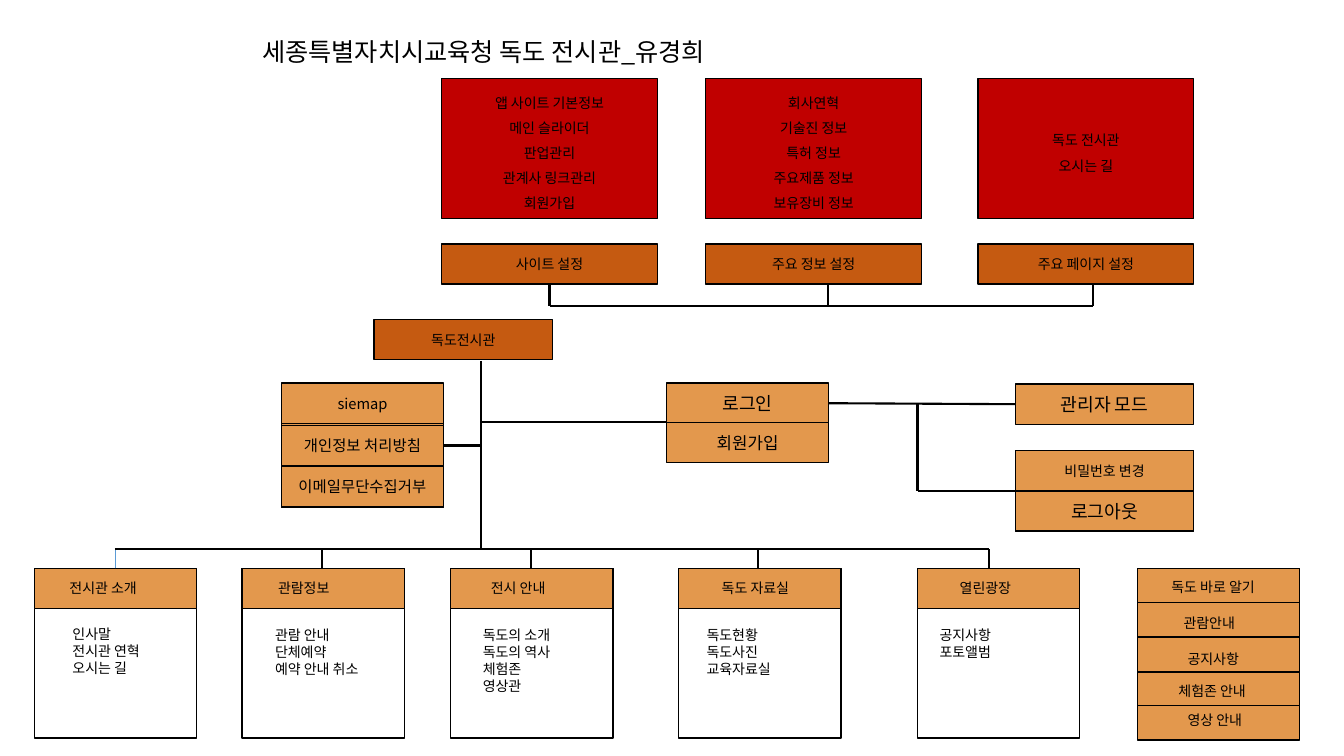
import pptx
import pptx.util
import pptx.dml.color
import pptx.enum.shapes
import pptx.enum.text
import pptx.oxml.ns
import lxml.etree

PX = 9144  # EMU, a hundredth of an inch
FONT = "Noto Sans CJK KR"
COLORS = {"black": "000000", "red": "C00000", "rust": "C55A11",
          "sand": "E3984D", "blue": "5B9BD5"}
ALIGN = pptx.enum.text.PP_ALIGN
ANCHOR = pptx.enum.text.MSO_ANCHOR
RGB = pptx.dml.color.RGBColor.from_string
qn = pptx.oxml.ns.qn


def write(shape, lines, size=10, align=ALIGN.CENTER, space=None):
    frame = shape.text_frame
    frame.text = "\n".join(lines)
    for para in frame.paragraphs:
        para.alignment = align
        para.line_spacing = space
        para.font.size = pptx.util.Pt(size)
        para.font.color.rgb = RGB(COLORS["black"])
        para.font.name = FONT
        props = para._p.pPr.find(qn("a:defRPr"))
        lxml.etree.SubElement(props, qn("a:ea"), typeface=FONT)
    if align == ALIGN.LEFT:
        frame.vertical_anchor = ANCHOR.TOP
        frame.word_wrap = False
        frame.auto_size = pptx.enum.text.MSO_AUTO_SIZE.SHAPE_TO_FIT_TEXT
    else:
        frame.vertical_anchor = ANCHOR.MIDDLE


def box(left, top, width, height, fill=None, lines=(), size=10, space=None):
    shape = slide.shapes.add_shape(
        pptx.enum.shapes.MSO_SHAPE.RECTANGLE,
        left * PX, top * PX, width * PX, height * PX)
    shape.shadow.inherit = False
    if fill:
        shape.fill.solid()
        shape.fill.fore_color.rgb = RGB(COLORS[fill])
    else:
        shape.fill.background()
    shape.line.color.rgb = RGB(COLORS["black"])
    shape.line.width = pptx.util.Pt(1)
    if lines:
        write(shape, lines, size, space=space)


deck = pptx.Presentation()
deck.slide_width = 1333 * PX
deck.slide_height = 750 * PX
slide = deck.slides.add_slide(deck.slide_layouts[5])

title = slide.shapes.title
title.left, title.top = 250 * PX, 31 * PX
title.width, title.height = 503 * PX, 40 * PX
write(title, ["세종특별자치시교육청 독도 전시관_유경희"], 18, ALIGN.LEFT)

# Admin settings
admin = [
    (438, "사이트 설정", ["앱 사이트 기본정보", "메인 슬라이더", "판업관리",
                     "관계사 링크관리", "회원가입"]),
    (700, "주요 정보 설정", ["회사연혁", "기술진 정보", "특허 정보",
                       "주요제품 정보", "보유장비 정보"]),
    (970, "주요 페이지 설정", ["독도 전시관", "오시는 길"]),
]
for left, name, items in admin:
    box(left, 78, 214, 139, "red", items, space=1.5)
    box(left, 242, 214, 40, "rust", [name])

# Home page and side pages
box(371, 317, 177, 40, "rust", ["독도전시관"])
box(279, 381, 161, 122, "sand")
box(1007, 447, 177, 80, "sand")
pages = [
    (279, 380, 161, "siemap", 10.5),
    (279, 422, 161, "개인정보 처리방침", 11),
    (279, 463, 161, "이메일무단수집거부", 11),
    (661, 380, 161, "로그인", 13),
    (661, 419, 161, "회원가입", 12),
    (1007, 381, 177, "관리자 모드", 13),
    (1007, 447, 177, "비밀번호 변경", 10),
    (1007, 487, 177, "로그아웃", 13),
]
for left, top, width, name, size in pages:
    box(left, top, width, 40, "sand", [name], size)

# Main menus: box left, name left and width, items left, top, width, height
menus = [
    (34, "전시관 소개", 59, 95, (62, 616, 95, 61),
     ["인사말", "전시관 연혁", "오시는 길"]),
    (240, "관람정보", 266, 76, (263, 617, 114, 61),
     ["관람 안내", "단체예약", "예약 안내 취소"]),
    (447, "전시 안내", 477, 81, (469, 617, 95, 77),
     ["독도의 소개", "독도의 역사", "체험존", "영상관"]),
    (673, "독도 자료실", 706, 95, (691, 617, 90, 61),
     ["독도현황", "독도사진", "교육자료실"]),
    (910, "열린광장", 942, 76, (922, 617, 76, 44),
     ["공지사항", "포토앨범"]),
]
labels = []
for left, name, start, width, area, items in menus:
    box(left, 564, 161, 168)
    box(left, 564, 161, 40, "sand")
    labels += [((start, 570, width, 27), [name]), (area, items)]

# Quick links
box(1128, 564, 161, 168)
links = [
    (564, "독도 바로 알기", 1152, 569, 114),
    (598, "관람안내", 1164, 605, 76),
    (632, "공지사항", 1168, 640, 76),
    (667, "체험존 안내", 1159, 672, 100),
    (700, "영상 안내", 1168, 701, 81),
]
for top, name, start, level, width in links:
    box(1128, top, 161, 34, "sand")
    labels.append(((start, level, width, 27), [name]))

for area, lines in labels:
    label = slide.shapes.add_textbox(*(n * PX for n in area))
    write(label, lines, align=ALIGN.LEFT)

# Connecting lines
wires = [(x, 282, x, 304) for x in (545, 821, 1084)]
wires += [(x, 564, x, 545) for x in (114, 319, 527, 752, 981)]
wires += [
    (545, 304, 1084, 304),
    (114, 545, 981, 545),
    (477, 358, 477, 545),
    (476, 442, 440, 442),
    (661, 419, 476, 419),
    (822, 400, 1007, 401),
    (910, 400, 910, 487),
    (1007, 487, 910, 487),
]
for wire in wires:
    line = slide.shapes.add_connector(
        pptx.enum.shapes.MSO_CONNECTOR.STRAIGHT, *(n * PX for n in wire))
    thin = wire[0] == wire[2] == 114
    line.line.color.rgb = RGB(COLORS["blue" if thin else "black"])
    line.line.width = pptx.util.Pt(0.5 if thin else 1.5)
    lxml.etree.SubElement(line._element.spPr, qn("a:effectLst"))

deck.save("out.pptx")
